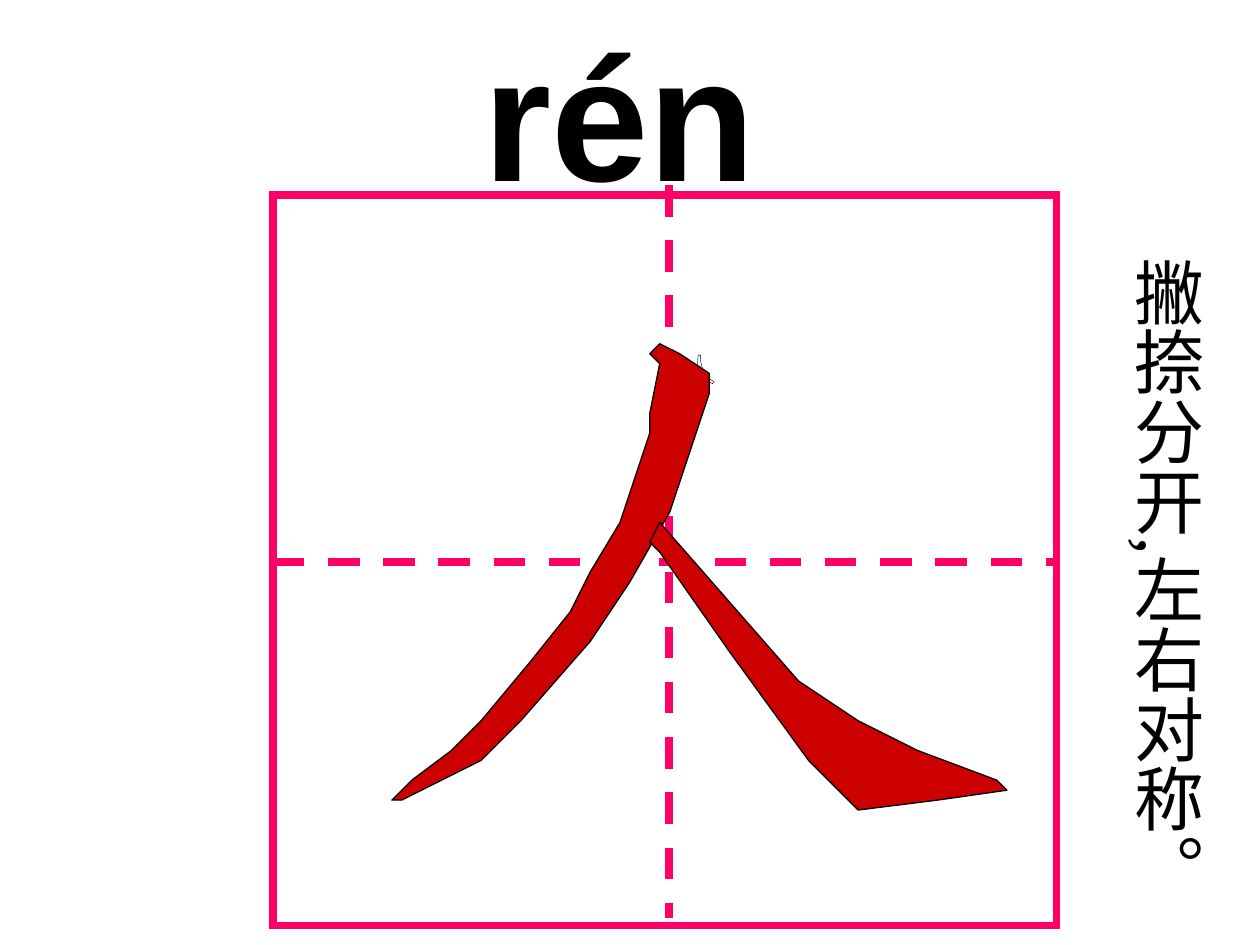
import pptx
import pptx.dml.color
import pptx.enum.dml
import pptx.enum.shapes
import pptx.enum.text
import pptx.oxml
import pptx.oxml.ns
import pptx.util

Cm = pptx.util.Cm
Pt = pptx.util.Pt

COLORS = {"ink": "000000", "grid": "FF0066", "stroke": "CC0000", "paper": "FFFFFF"}
STROKE_UNIT = 0.2
LEFT_STROKE = [
    (26, 1), (27, 2), (26, 7), (26, 9), (25, 12), (23, 18), (20, 23), (18, 27),
    (14, 32), (9, 38), (6, 41), (2, 44), (0, 46), (1, 46), (5, 44), (9, 42),
    (13, 38), (20, 30), (24, 24), (28, 17), (30, 11), (32, 5), (32, 3), (29, 1), (27, 0),
]
RIGHT_STROKE = [
    (27, 18), (34, 26), (41, 34), (47, 38), (53, 41), (61, 44), (62, 45),
    (55, 46), (47, 47), (42, 42), (34, 31), (27, 21), (26, 20),
]


def color(name):
    return pptx.dml.color.RGBColor.from_string(COLORS[name])


def drawing_element(tag, attributes="", content=""):
    namespace = pptx.oxml.ns.nsdecls("a")
    return pptx.oxml.parse_xml(f"<a:{tag} {namespace} {attributes}>{content}</a:{tag}>")


def set_line(shape, name, width):
    shape.line.color.rgb = color(name)
    shape.line.width = Pt(width)


def add_text(slide, text, box, *, size, font, ink="ink", bold=False, wrap=True,
             grow=False, vertical=False, centered=False, outline=None):
    text_box = slide.shapes.add_textbox(*map(Cm, box))
    frame = text_box.text_frame
    frame.word_wrap = wrap
    if grow:
        frame.auto_size = pptx.enum.text.MSO_AUTO_SIZE.SHAPE_TO_FIT_TEXT
    if vertical:
        frame._txBody.bodyPr.set("vert", "eaVert")
        frame.margin_left = frame.margin_right = Cm(0.13)
        frame.margin_top = frame.margin_bottom = Cm(0.25)
    paragraph = frame.paragraphs[0]
    if centered:
        paragraph.alignment = pptx.enum.text.PP_ALIGN.CENTER
    run = paragraph.add_run()
    run.text = text
    run.font.size = Pt(size)
    run.font.name = font
    run.font.bold = bold
    run.font.color.rgb = color(ink)
    if outline:
        fill = f'<a:solidFill><a:srgbClr val="{COLORS[outline]}"/></a:solidFill>'
        run.font._element.insert(0, drawing_element("ln", f'w="{Pt(0.75)}"', fill))


def add_line(shapes, start, end, name, width, dashed=False):
    line = shapes.add_connector(
        pptx.enum.shapes.MSO_CONNECTOR.STRAIGHT, *map(Cm, start + end))
    set_line(line, name, width)
    if dashed:
        line.line.dash_style = pptx.enum.dml.MSO_LINE.DASH
    line._element.spPr.append(drawing_element("effectLst"))


def add_practice_grid(slide, left, top, width, height):
    group = slide.shapes.add_group_shape()
    frame = group.shapes.add_shape(
        pptx.enum.shapes.MSO_SHAPE.RECTANGLE, *map(Cm, (left, top, width, height)))
    frame.shadow.inherit = False
    frame.fill.background()
    set_line(frame, "grid", 4.5)
    frame.line._get_or_add_ln().append(drawing_element("miter", 'lim="800000"'))
    middle = top + height / 2 + 0.03
    center = left + width / 2 + 0.09
    add_line(group.shapes, (left, middle), (left + width, middle), "grid", 4.5, True)
    add_line(slide.shapes, (center, top - 0.21), (center, top + height - 0.15),
             "grid", 4.5, True)


def add_character(slide, left, top, width, height):
    add_text(slide, "人", (left, top, width, height), size=18, centered=True,
             font="Noto Sans CJK SC", ink="paper", wrap=False, outline="ink")
    for points in (LEFT_STROKE, RIGHT_STROKE):
        builder = slide.shapes.build_freeform(*points[0], scale=Cm(STROKE_UNIT))
        builder.add_line_segments(points[1:], close=True)
        stroke = builder.convert_to_shape(Cm(left), Cm(top))
        stroke.shadow.inherit = False
        stroke.fill.solid()
        stroke.fill.fore_color.rgb = color("stroke")
        set_line(stroke, "ink", 0.75)


def main():
    presentation = pptx.Presentation()
    presentation.slide_width = Cm(25.4)
    presentation.slide_height = Cm(19.05)
    slide = presentation.slides.add_slide(presentation.slide_layouts[6])
    add_line(slide.shapes, (4.7, 11.33), (4.7, 11.33), "ink", 0.75)
    add_text(slide, "rén", (9.5, 0, 8.2, 4.5), size=100, font="Arial",
             bold=True, grow=True)
    add_practice_grid(slide, 5.5, 3.94, 15.8, 14.72)
    add_text(slide, "撇捺分开,左右对称。", (22.32, 4.94, 2.18, 12.17), size=40,
             font="Times New Roman", grow=True, vertical=True)
    add_character(slide, 7.9, 6.93, 12.4, 9.4)
    presentation.save("out.pptx")


if __name__ == "__main__":
    main()
